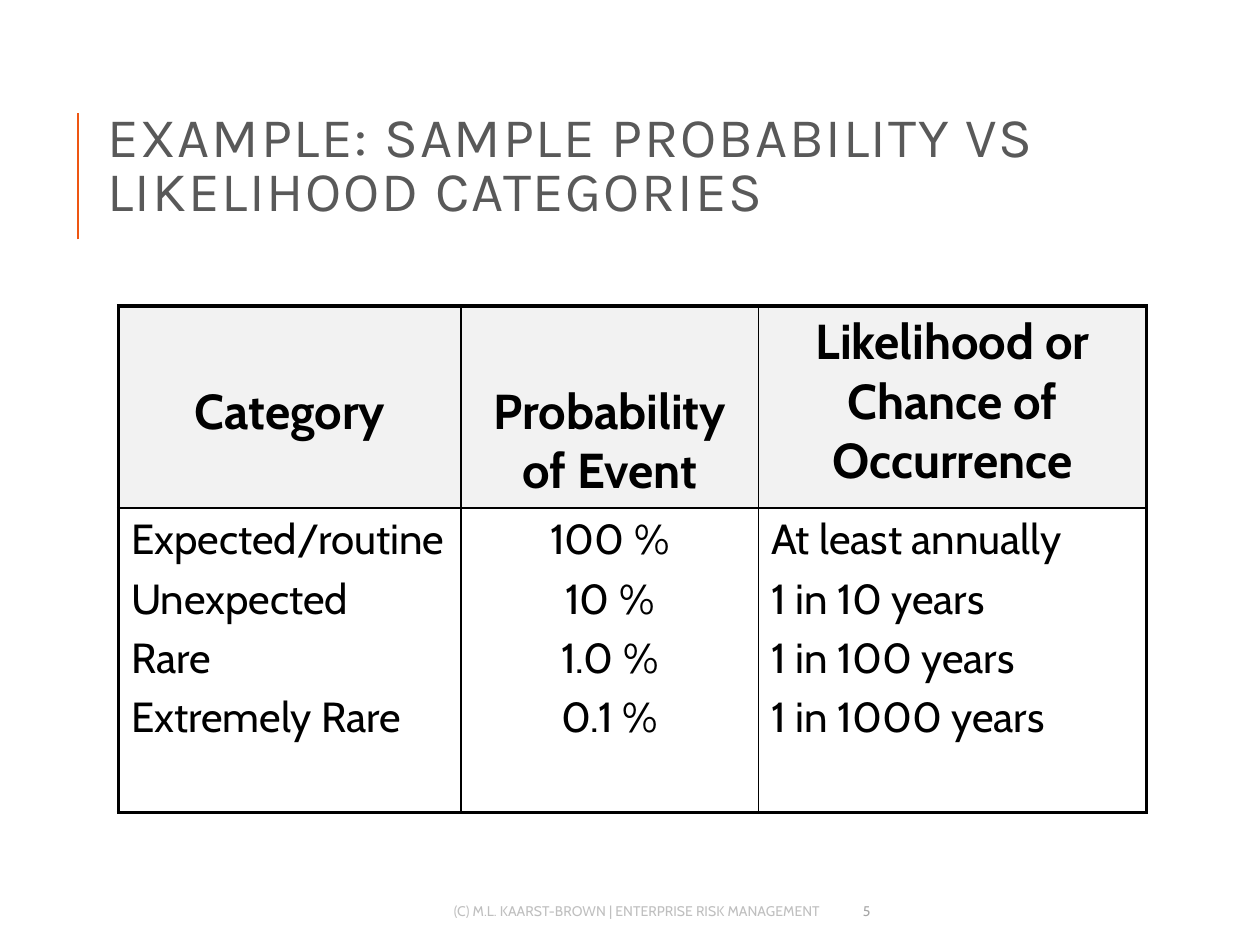
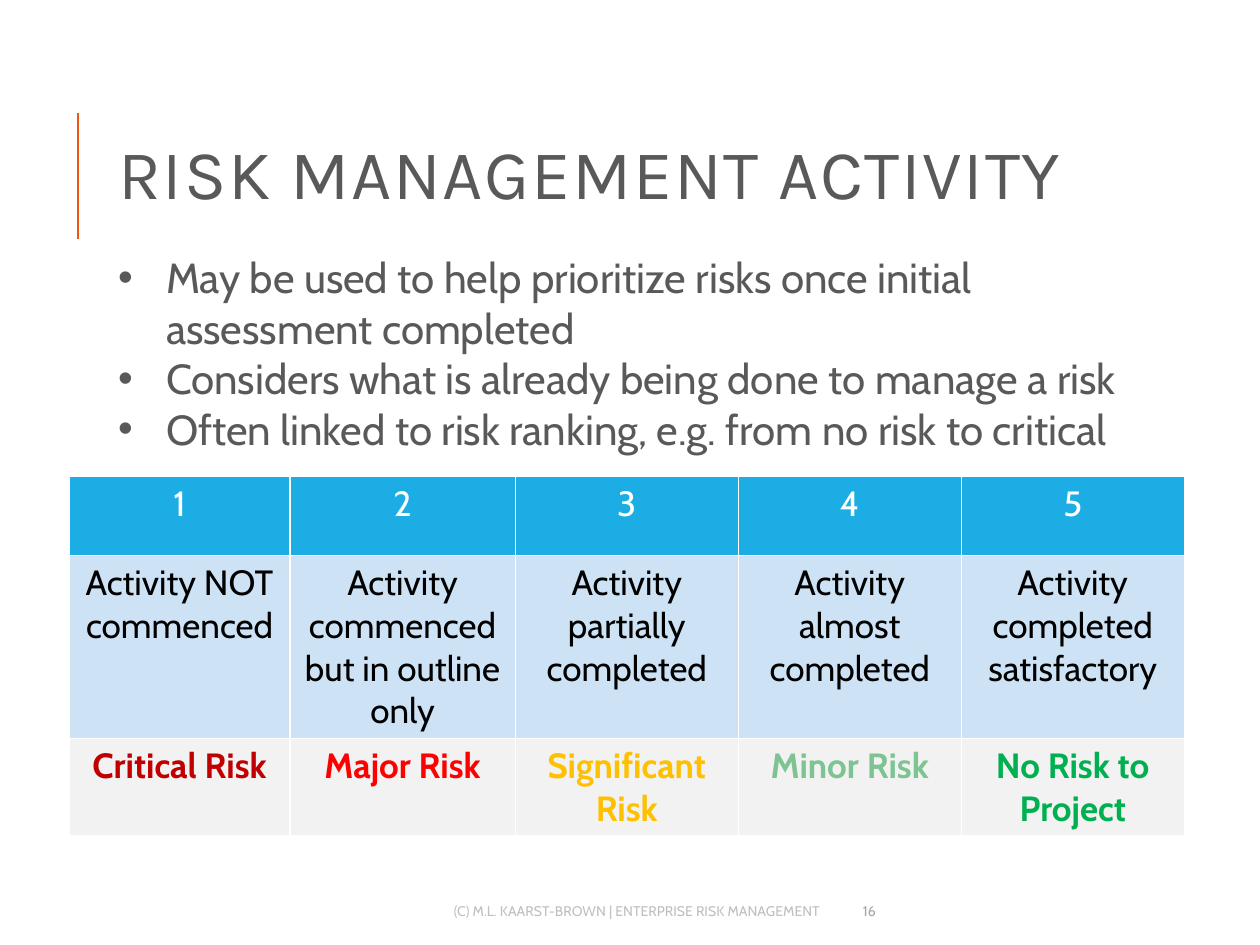
"""Builds two risk management slides: probability categories and activity ranking."""
from dataclasses import dataclass

from lxml.etree import SubElement
from pptx import Presentation
from pptx.dml.color import RGBColor
from pptx.enum.text import MSO_ANCHOR as Anchor, MSO_AUTO_SIZE as AutoSize, PP_ALIGN as Align
from pptx.oxml import parse_xml
from pptx.oxml.ns import nsdecls, qn
from pptx.util import Inches, Pt


@dataclass(frozen=True)
class Theme:
    heading_font: str = "Karla"
    body_font: str = "Cabin"
    gray: str = "595959"
    footer: str = "BFBFBF"
    number: str = "A6A6A6"
    accent: str = "EE5612"
    black: str = "000000"
    white: str = "FFFFFF"
    pale: str = "F2F2F2"
    blue: str = "1CADE4"
    light_blue: str = "CDE3F5"
    header_size: int = 28
    body_size: int = 24
    rank_size: int = 20
    small_size: int = 8


THEME = Theme()
FOOTER = "(C) M.L. KAARST-BROWN | ENTERPRISE RISK MANAGEMENT"

PROBABILITY = {
    "title": "EXAMPLE: SAMPLE PROBABILITY VS LIKELIHOOD CATEGORIES",
    "title_box": (0.75, 0.58, 8.83, 1.51),
    "title_size": 32,
    "number": "5",
}
PROBABILITY_COLUMNS = [
    {"header": "Category", "top": 0.6, "align": Align.LEFT,
     "values": ["Expected/routine", "Unexpected", "Rare", "Extremely Rare"]},
    {"header": "Probability of Event", "top": 0.6, "align": Align.CENTER,
     "values": ["100 %", "10 %", "1.0 %", "0.1 %"]},
    {"header": "Likelihood or Chance of Occurrence", "top": 0.05, "align": Align.LEFT,
     "values": ["At least annually", "1 in 10 years", "1 in 100 years", "1 in 1000 years"]},
]

ACTIVITY = {
    "title": "RISK MANAGEMENT ACTIVITY",
    "title_box": (0.84, 0.64, 7.97, 1.56),
    "title_size": 40,
    "number": "16",
}
ACTIVITY_POINTS = [
    "May be used to help prioritize risks once initial assessment completed",
    "Considers what is already being done to manage a risk",
    "Often linked to risk ranking, e.g. from no risk to critical",
]
ACTIVITY_RANKS = [
    ("Activity NOT commenced", "Critical Risk", "C00000"),
    ("Activity commenced but in outline only", "Major Risk", "FF0000"),
    ("Activity partially completed", "Significant Risk", "FFC000"),
    ("Activity almost completed", "Minor Risk", "7EC492"),
    ("Activity completed satisfactory", "No Risk to Project", "00B050"),
]


def write_text(frame, text, size, color, font=THEME.body_font, bold=False, align=Align.LEFT,
               before=0, line_spacing=None, tracking=0, bullet=False):
    """Write one string, or a list of paragraphs, with a single format."""
    frame.word_wrap = True
    lines = [text] if isinstance(text, str) else text
    for index, line in enumerate(lines):
        paragraph = frame.add_paragraph() if index else frame.paragraphs[0]
        paragraph.alignment = align
        paragraph.space_before = Pt(before if index else 0)
        if line_spacing:
            paragraph.line_spacing = line_spacing
        run = paragraph.add_run()
        run.text = line
        run.font.name, run.font.size, run.font.bold = font, Pt(size), bold
        run.font.color.rgb = RGBColor.from_string(color)
        if tracking:
            run.font._element.set("spc", str(tracking * 100))
        if bullet:
            properties = paragraph._p.get_or_add_pPr()
            properties.set("marL", str(Inches(0.38)))
            properties.set("indent", str(-Inches(0.38)))
            SubElement(properties, qn("a:buFont")).set("typeface", "Arial")
            SubElement(properties, qn("a:buChar")).set("char", "•")


def add_text(slide, box, text, anchor=Anchor.MIDDLE, **text_format):
    """Add a text box."""
    frame = slide.shapes.add_textbox(*map(Inches, box)).text_frame
    frame.vertical_anchor = anchor
    write_text(frame, text, **text_format)


def add_slide(presentation, content):
    """Add a slide with its title, accent line, footer and page number."""
    slide = presentation.slides.add_slide(presentation.slide_layouts[5])
    line = slide.shapes.add_connector(1, *map(Inches, (0.62, 1.9, 0.62, 0.9)))
    line.line.color.rgb = RGBColor.from_string(THEME.accent)
    line.line.width = Pt(1.5)
    SubElement(line._element.spPr, qn("a:effectLst"))

    title = slide.shapes.title
    title.left, title.top, title.width, title.height = map(Inches, content["title_box"])
    title.text_frame.auto_size = AutoSize.NONE
    title.text_frame.vertical_anchor = Anchor.MIDDLE
    write_text(title.text_frame, content["title"], content["title_size"], THEME.gray,
               font=THEME.heading_font, line_spacing=0.8, tracking=1)

    add_text(slide, (1.89, 7.08, 4.72, 0.3), FOOTER, size=THEME.small_size,
             color=THEME.footer, align=Align.RIGHT)
    add_text(slide, (6.75, 7.08, 0.91, 0.3), content["number"], size=THEME.small_size,
             color=THEME.number)
    return slide


def add_table(slide, left, top, widths, heights, color, outer=1):
    """Add a bordered table whose outer edge may be heavier than its inner lines."""
    table = slide.shapes.add_table(
        len(heights), len(widths), Inches(left), Inches(top),
        Inches(sum(widths)), Inches(sum(heights))).table
    table.first_row = table.horz_banding = False
    for column, width in zip(table.columns, widths):
        column.width = Inches(width)
    for row, height in zip(table.rows, heights):
        row.height = Inches(height)
    for row in range(len(heights)):
        for column in range(len(widths)):
            edges = {"L": column == 0, "R": column == len(widths) - 1,
                     "T": row == 0, "B": row == len(heights) - 1}
            properties = table.cell(row, column)._tc.get_or_add_tcPr()
            for side, is_outer in edges.items():
                width = Pt(outer if is_outer else 1)
                properties.append(parse_xml(
                    f'<a:ln{side} {nsdecls("a")} w="{width}"><a:solidFill>'
                    f'<a:srgbClr val="{color}"/></a:solidFill></a:ln{side}>'))
    return table


def fill_cell(cell, text, fill, top=0.05, **text_format):
    """Fill a table cell with colour and text."""
    cell.fill.solid()
    cell.fill.fore_color.rgb = RGBColor.from_string(fill)
    cell.margin_top = Inches(top)
    write_text(cell.text_frame, text, **text_format)


def build_probability(presentation):
    """Build the table of probability categories."""
    slide = add_slide(presentation, PROBABILITY)
    table = add_table(slide, 0.94, 2.43, (2.72, 2.36, 3.08), (1.6, 2.42), THEME.black, outer=2.25)
    for index, column in enumerate(PROBABILITY_COLUMNS):
        fill_cell(table.cell(0, index), column["header"], THEME.pale, top=column["top"],
                  size=THEME.header_size, color=THEME.black, bold=True, align=Align.CENTER)
        fill_cell(table.cell(1, index), column["values"], THEME.white, size=THEME.body_size,
                  color=THEME.black, align=column["align"], before=THEME.body_size * 0.2)


def build_activity(presentation):
    """Build the bullet points and the activity ranking table."""
    slide = add_slide(presentation, ACTIVITY)
    widths = (1.75, 1.79, 1.77, 1.77, 1.77)
    table = add_table(slide, 0.55, 3.78, widths, (0.63, 1.45, 0.77), THEME.white)
    for index, (activity, risk, risk_color) in enumerate(ACTIVITY_RANKS):
        rows = [(str(index + 1), THEME.blue, THEME.white, False),
                (activity, THEME.light_blue, THEME.black, False),
                (risk, THEME.pale, risk_color, True)]
        for row, (text, fill, color, bold) in enumerate(rows):
            fill_cell(table.cell(row, index), text, fill, size=THEME.rank_size,
                      color=color, bold=bold, align=Align.CENTER)
    add_text(slide, (0.84, 1.95, 8.46, 1.72), ACTIVITY_POINTS, anchor=Anchor.TOP,
             size=THEME.body_size, color=THEME.gray, bullet=True)


def main():
    """Create and save the presentation."""
    presentation = Presentation()
    presentation.slide_width, presentation.slide_height = Inches(10), Inches(7.5)
    build_probability(presentation)
    build_activity(presentation)
    presentation.save("out.pptx")


if __name__ == "__main__":
    main()
